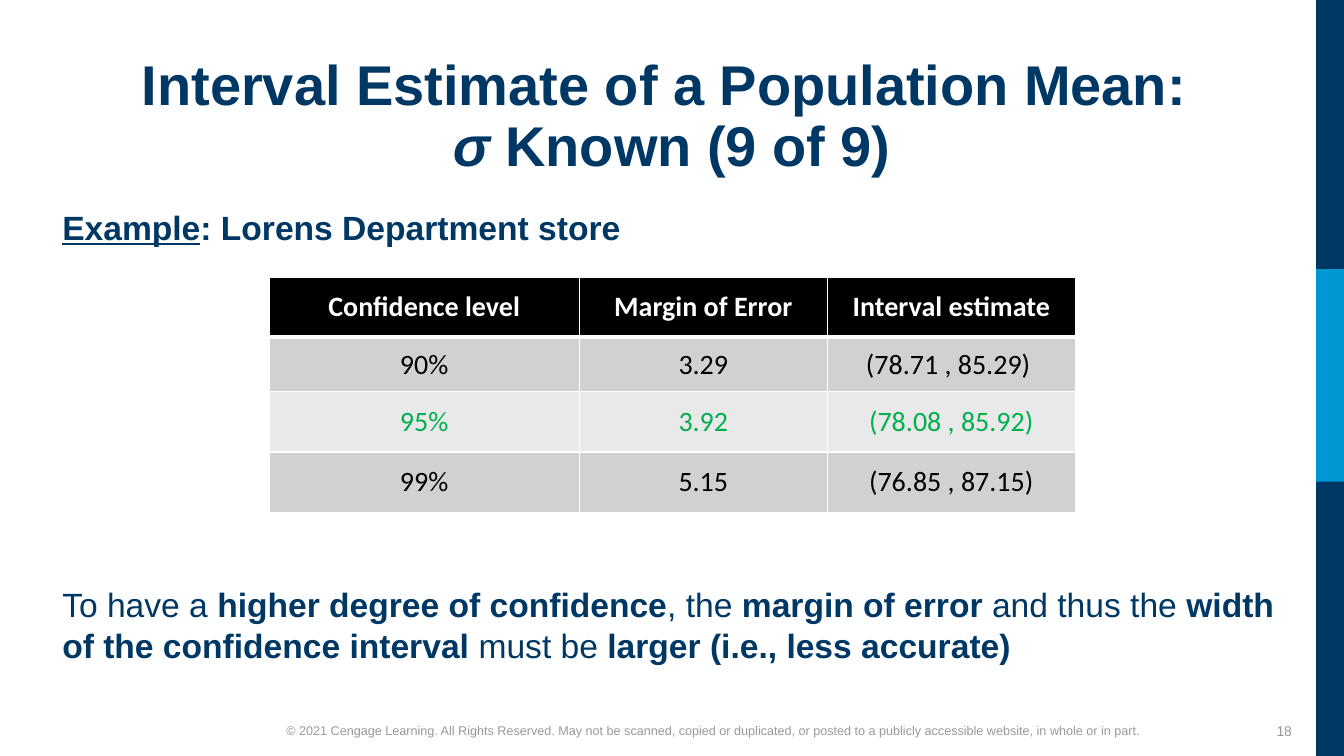
"""Build the slide on interval estimates of a population mean, sigma known."""
from lxml import etree
from pptx import Presentation
from pptx.dml.color import RGBColor
from pptx.enum.shapes import MSO_SHAPE
from pptx.enum.text import MSO_ANCHOR, PP_ALIGN
from pptx.oxml.ns import qn
from pptx.util import Cm, Pt

RECTANGLE = MSO_SHAPE.RECTANGLE
LEFT, CENTER, RIGHT = PP_ALIGN.LEFT, PP_ALIGN.CENTER, PP_ALIGN.RIGHT
TOP, MIDDLE = MSO_ANCHOR.TOP, MSO_ANCHOR.MIDDLE

NAVY = RGBColor(0x00, 0x38, 0x65)
BLUE = RGBColor(0x00, 0x98, 0xD4)
GRAY = RGBColor(0x96, 0x99, 0x9E)
WHITE = RGBColor(0xFF, 0xFF, 0xFF)
BLACK = RGBColor(0x00, 0x00, 0x00)
GREEN = RGBColor(0x00, 0xB0, 0x50)
DARK_BAND = RGBColor(0xD1, 0xD1, 0xD2)
LIGHT_BAND = RGBColor(0xE9, 0xE9, 0xEA)


def add_text(box, runs, size, color, alignment=LEFT, anchor=TOP):
    """Add a text box from (text, style) runs; style holds the letters b, i, u."""
    text_frame = slide.shapes.add_textbox(*map(Cm, box)).text_frame
    text_frame.word_wrap = True
    text_frame.vertical_anchor = anchor
    paragraph = text_frame.paragraphs[0]
    paragraph.alignment = alignment
    for text, style in runs:
        if text == "\v":
            paragraph.add_line_break()
            continue
        run = paragraph.add_run()
        run.text = text
        run.font.name = "Arial"
        run.font.size = Pt(size)
        run.font.color.rgb = color
        run.font.bold = "b" in style
        run.font.italic = "i" in style
        run.font.underline = "u" in style
    return paragraph


def add_border(cell, side, width):
    """Draw a white border on one side of a table cell."""
    properties = cell._tc.get_or_add_tcPr()
    line = etree.SubElement(properties, qn(f"a:ln{side}"), w=str(Pt(width)))
    fill = etree.SubElement(line, qn("a:solidFill"))
    etree.SubElement(fill, qn("a:srgbClr"), val=str(WHITE))


presentation = Presentation()
presentation.slide_width = Cm(33.87)
presentation.slide_height = Cm(19.05)
slide = presentation.slides.add_slide(presentation.slide_layouts[6])

add_text((30.78, 17.91, 2.03, 1.02), [("18", "")], 10, GRAY, RIGHT, MIDDLE)
copyright_line = (
    "© 2021 Cengage Learning. All Rights Reserved. May not be scanned, copied or "
    "duplicated, or posted to a publicly accessible website, in whole or in part."
)
add_text((4.62, 18.08, 26.7, 0.64), [(copyright_line, "")], 9, GRAY, CENTER)

for top, height, color in [(0, 19.05, NAVY), (6.78, 5.36, BLUE)]:
    sidebar = slide.shapes.add_shape(RECTANGLE, Cm(33.17), Cm(top), Cm(0.7), Cm(height))
    sidebar.shadow.inherit = False
    sidebar.fill.solid()
    sidebar.fill.fore_color.rgb = color
    sidebar.line.fill.background()

title_runs = [
    ("Interval Estimate of a Population Mean: ", "b"),
    ("\v", ""),
    ("σ", "bi"),
    (" Known (9 of 9)", "b"),
]
title = add_text((1.32, 1.32, 31.22, 3.38), title_runs, 40, NAVY, CENTER)
title.line_spacing = 0.9

example_runs = [("Example", "bu"), (": Lorens Department store", "b")]
add_text((1.32, 5.08, 31.22, 1.32), example_runs, 24, NAVY)

rows = [
    ("Confidence level", "Margin of Error", "Interval estimate"),
    ("90%", "3.29", "(78.71 , 85.29) "),
    ("95%", "3.92", "(78.08 , 85.92)"),
    ("99%", "5.15", "(76.85 , 87.15)"),
]
row_styles = [(BLACK, WHITE), (DARK_BAND, BLACK), (LIGHT_BAND, GREEN), (DARK_BAND, BLACK)]
row_heights = [1.52, 1.37, 1.52, 1.52]
column_widths = [7.82, 6.25, 6.25]

table = slide.shapes.add_table(
    len(rows), len(column_widths), Cm(6.78), Cm(6.98),
    Cm(sum(column_widths)), Cm(sum(row_heights)),
).table
for column, width in zip(table.columns, column_widths):
    column.width = Cm(width)
for row_index, (values, (fill_color, text_color)) in enumerate(zip(rows, row_styles)):
    table.rows[row_index].height = Cm(row_heights[row_index])
    for column_index, value in enumerate(values):
        cell = table.cell(row_index, column_index)
        add_border(cell, "L", 1)
        add_border(cell, "R", 1)
        add_border(cell, "T", 3 if row_index == 1 else 1)
        add_border(cell, "B", 3 if row_index == 0 else 1)
        cell.fill.solid()
        cell.fill.fore_color.rgb = fill_color
        cell.vertical_anchor = MIDDLE
        cell.margin_left = cell.margin_right = Cm(0.1)
        cell.margin_top = cell.margin_bottom = Cm(0.13)
        cell.text_frame.text = value
        paragraph = cell.text_frame.paragraphs[0]
        paragraph.alignment = CENTER
        font = paragraph.runs[0].font
        font.name = "Calibri"
        font.size = Pt(20)
        font.bold = row_index == 0
        font.color.rgb = text_color

conclusion_runs = [
    ("To have a ", ""),
    ("higher degree of confidence", "b"),
    (", the ", ""),
    ("margin of error", "b"),
    (" and thus the ", ""),
    ("width of the confidence interval", "b"),
    (" must be ", ""),
    ("larger (i.e., less accurate)", "b"),
]
add_text((1.32, 14.6, 31.22, 2.46), conclusion_runs, 24, NAVY)

presentation.save("out.pptx")
